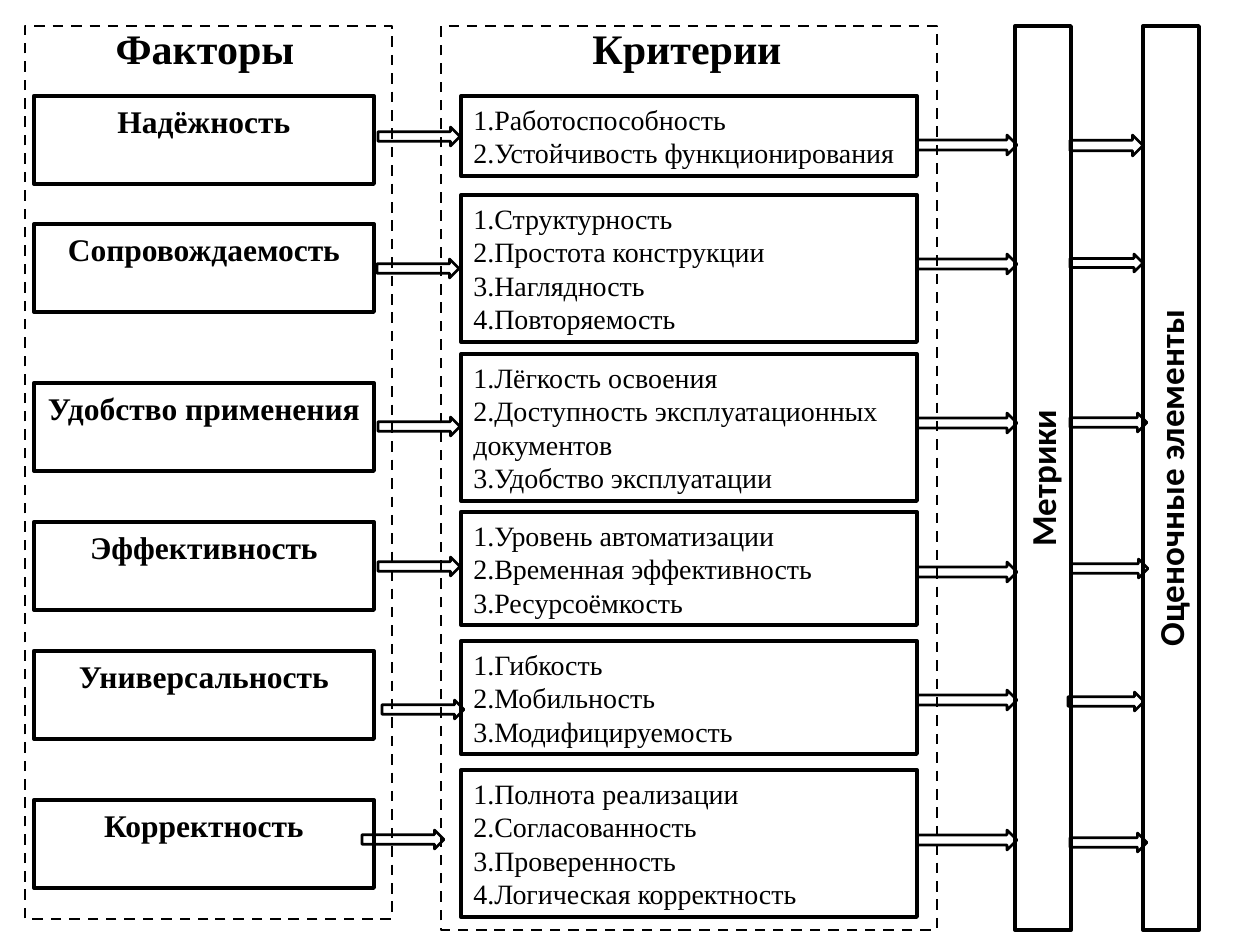
import pptx
import pptx.util
import pptx.dml.color
import pptx.enum.dml
import pptx.enum.shapes
import pptx.enum.text

PX = 914400 / 126
COLORS = {"ink": "000000"}
SERIF, SANS = "Times New Roman", "Calibri"
SHAPES = pptx.enum.shapes.MSO_SHAPE
CENTER = pptx.enum.text.PP_ALIGN.CENTER
LEFT = pptx.enum.text.PP_ALIGN.LEFT

# heading, heading centre, frame (left, top, width, height)
FRAMES = [
    ("Факторы", 205, (25, 26, 367, 893)),
    ("Критерии", 687, (441, 26, 496, 904)),
]
# factor, factor top, criteria top, criteria
ROWS = [
    ("Надёжность", 96, 96,
     ["1.Работоспособность", "2.Устойчивость функционирования"]),
    ("Сопровождаемость", 224, 195,
     ["1.Структурность", "2.Простота конструкции", "3.Наглядность",
      "4.Повторяемость"]),
    ("Удобство применения", 383, 354,
     ["1.Лёгкость освоения", "2.Доступность эксплуатационных",
      "документов", "3.Удобство эксплуатации"]),
    ("Эффективность", 522, 512,
     ["1.Уровень автоматизации", "2.Временная эффективность",
      "3.Ресурсоёмкость"]),
    ("Универсальность", 651, 641,
     ["1.Гибкость", "2.Мобильность", "3.Модифицируемость"]),
    ("Корректность", 800, 770,
     ["1.Полнота реализации", "2.Согласованность", "3.Проверенность",
      "4.Логическая корректность"]),
]
# bar label, centre across the slide
BARS = [("Метрики", 1043), ("Оценочные элементы", 1171)]
BAR_MIDDLE, BAR_LENGTH, BAR_THICKNESS = 478, 904, 56

# arrows of each gap: left, top, width, height
FACTOR_ARROWS = [(left, top, 82, 19) for left, top in [
    (378, 127), (377, 259), (378, 417), (378, 557), (382, 700), (362, 830)]]
CRITERIA_ARROWS = [(917, top, 100, 20)
                   for top in (135, 254, 413, 562, 690, 830)]
METRIC_ARROWS = [(1070, 135, 73, 21), (1070, 254, 73, 18),
                 (1070, 413, 77, 19), (1071, 559, 77, 19),
                 (1068, 692, 76, 19), (1070, 833, 77, 19)]


def px(value):
    return pptx.util.Emu(round(value * PX))


def color(name):
    return pptx.dml.color.RGBColor.from_string(COLORS[name])


def outline(kind, box, weight):
    """Add an unfilled shape with a black line."""
    shape = slide.shapes.add_shape(kind, *map(px, box))
    shape.shadow.inherit = False
    shape.fill.background()
    shape.line.color.rgb = color("ink")
    shape.line.width = pptx.util.Pt(weight)
    return shape


def write(shape, lines, size, font=SERIF, bold=True, align=CENTER):
    frame = shape.text_frame
    frame.word_wrap = align == LEFT
    frame.vertical_anchor = pptx.enum.text.MSO_ANCHOR.TOP
    frame.text = "\n".join(lines)
    for paragraph in frame.paragraphs:
        paragraph.alignment = align
        paragraph.font.name = font
        paragraph.font.size = pptx.util.Pt(size)
        paragraph.font.bold = bold
        paragraph.font.color.rgb = color("ink")


deck = pptx.Presentation()
deck.slide_width, deck.slide_height = px(1260), px(945)
slide = deck.slides.add_slide(deck.slide_layouts[6])

for heading, center, box in FRAMES:
    border = outline(SHAPES.RECTANGLE, box, 1.5)
    border.line.dash_style = pptx.enum.dml.MSO_LINE.DASH
    title = slide.shapes.add_textbox(px(center - 114), px(16), px(228), px(63))
    write(title, [heading], 24)

for factor, factor_top, criteria_top, criteria in ROWS:
    factor_box = outline(SHAPES.RECTANGLE, (34, factor_top, 340, 88), 2.25)
    write(factor_box, [factor], 18)
    height = 13 + 67 * len(criteria) // 2
    criteria_box = outline(
        SHAPES.RECTANGLE, (461, criteria_top, 456, height), 2.25)
    write(criteria_box, criteria, 16, bold=False, align=LEFT)

for label, center in BARS:
    bar = outline(SHAPES.RECTANGLE,
                  (center - BAR_LENGTH / 2, BAR_MIDDLE - BAR_THICKNESS / 2,
                   BAR_LENGTH, BAR_THICKNESS), 2.25)
    bar.rotation = 270
    write(bar, [label], 20, font=SANS)

for box in FACTOR_ARROWS + CRITERIA_ARROWS + METRIC_ARROWS:
    outline(SHAPES.RIGHT_ARROW, box, 1.5)

deck.save("out.pptx")
